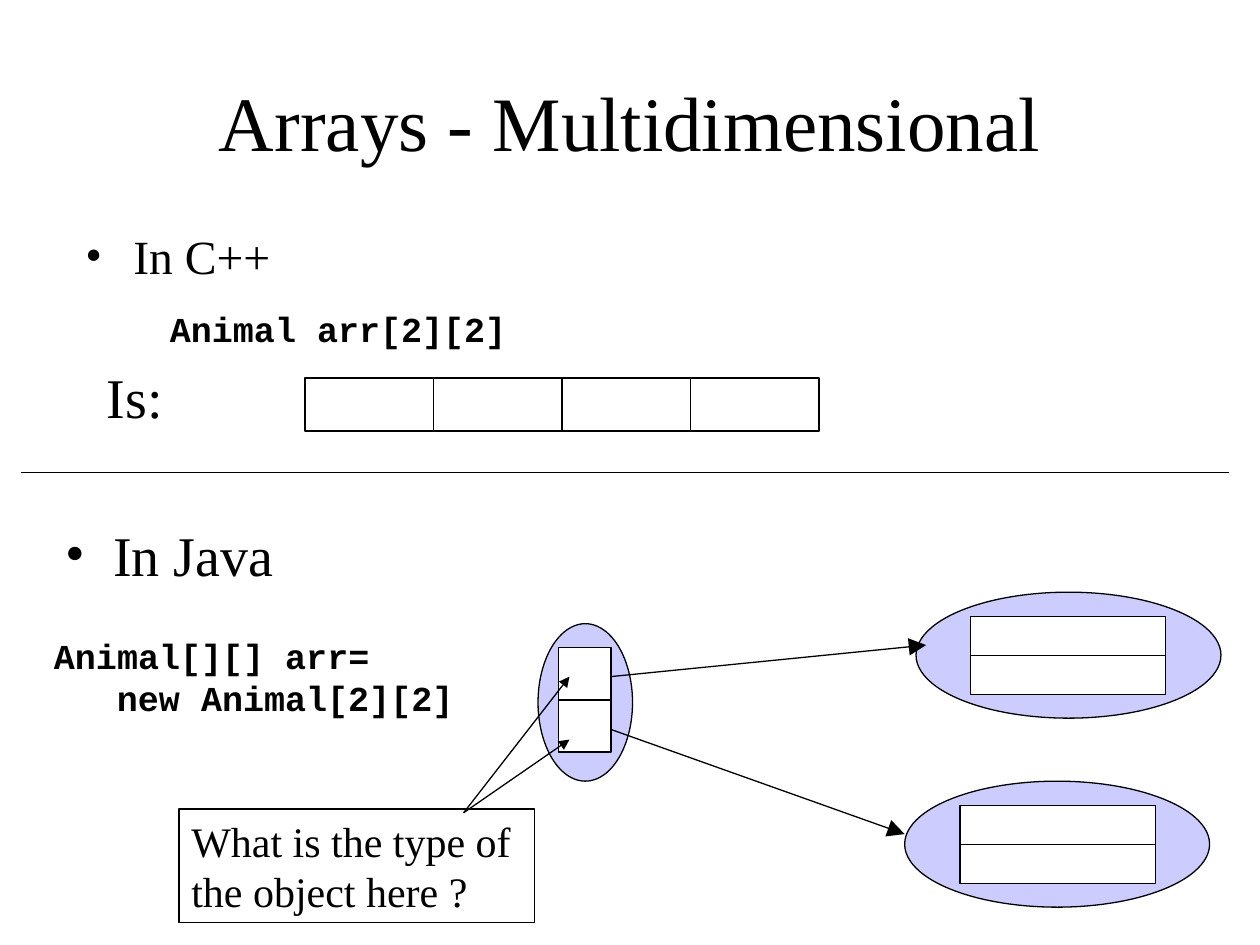
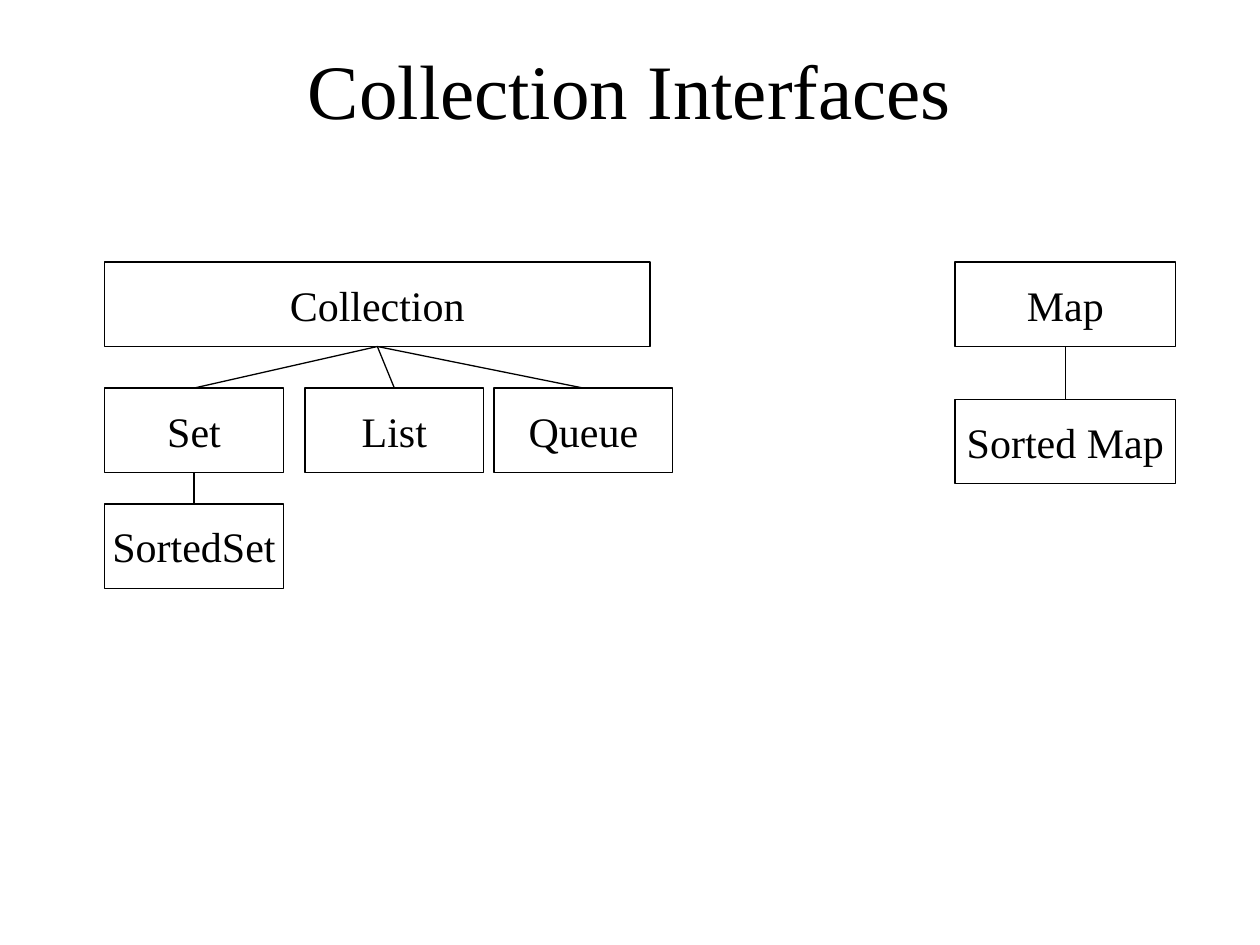
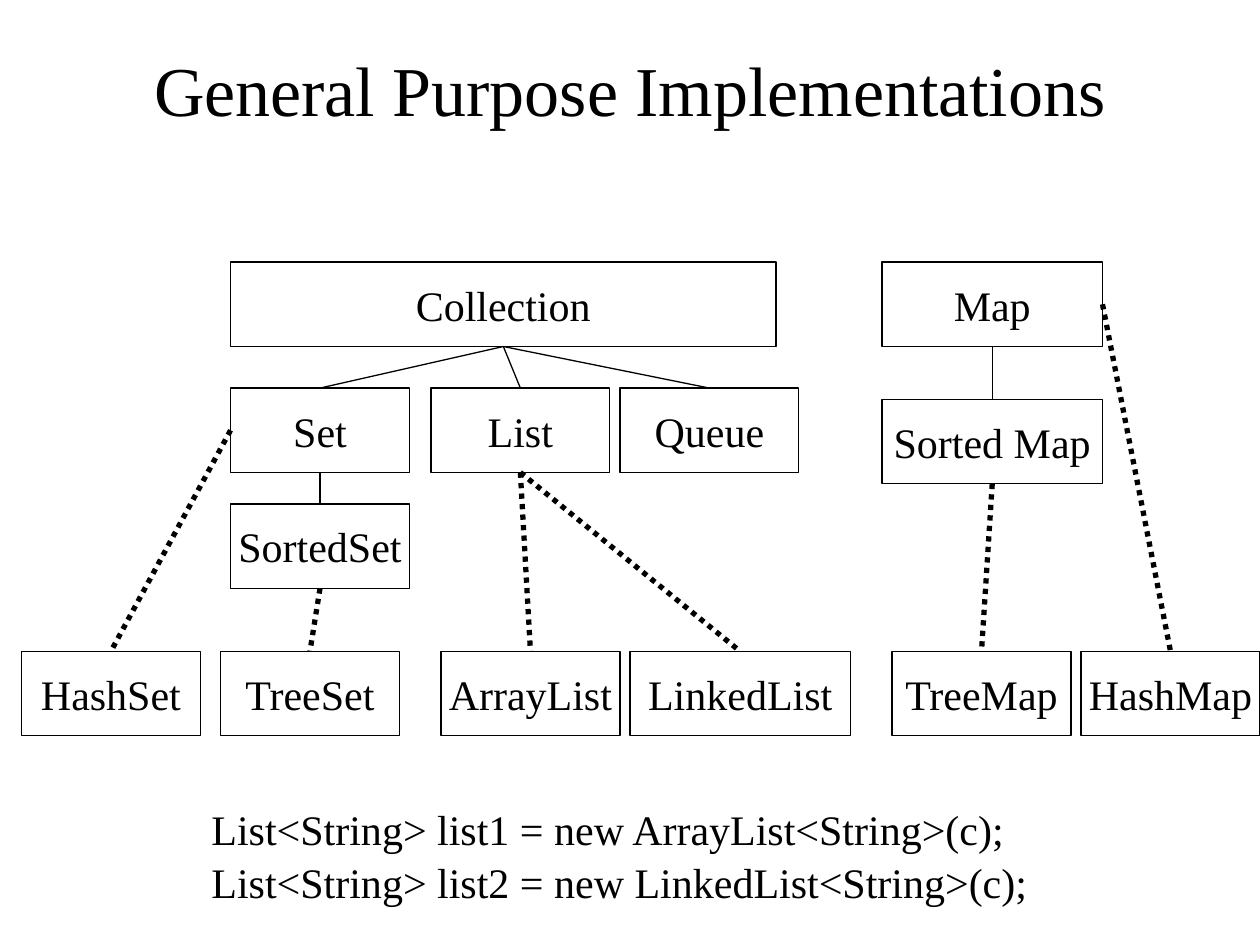
from dataclasses import dataclass

from lxml.etree import SubElement
from pptx import Presentation
from pptx.dml.color import RGBColor
from pptx.enum.dml import MSO_LINE
from pptx.enum.shapes import MSO_CONNECTOR, MSO_SHAPE
from pptx.enum.text import MSO_ANCHOR, PP_ALIGN
from pptx.oxml.ns import qn
from pptx.util import Inches, Pt


@dataclass(frozen=True)
class Theme:
    ink: RGBColor = RGBColor(0, 0, 0)
    paper: RGBColor = RGBColor(255, 255, 255)
    lilac: RGBColor = RGBColor(0xCC, 0xCC, 0xFF)
    serif: str = "Times New Roman"
    mono: str = "Courier New"
    title: float = 44
    small: float = 40
    head: float = 32
    lead: float = 27.2
    body: float = 24
    code: float = 20
    thin: float = 0.75
    thick: float = 3


T = Theme()
TOP, LEFT, BOTTOM, RIGHT = range(4)

# Array slide: ellipses, then strips as (box, columns, rows, fill)
OVALS = [(4.27, 4.95, 0.75, 1.25), (7.18, 6.2, 2.42, 1), (7.27, 4.7, 2.42, 1)]
STRIPS = [
    ((2.42, 3, 4.08, 0.42), 4, 1, None),
    ((4.43, 5.14, 0.42, 0.83), 1, 2, T.paper),
    ((7.7, 4.89, 1.55, 0.62), 1, 2, T.paper),
    ((7.62, 6.39, 1.55, 0.62), 1, 2, T.paper),
]
# Arrows as (start, end, head size)
ARROWS = [
    ((4.85, 5.37), (7.35, 5.12), "lg"),
    ((4.85, 5.79), (7.18, 6.62), "lg"),
    ((3.68, 6.45), (4.52, 5.87), "med"),
    ((3.68, 6.45), (4.52, 5.37), "med"),
]
BULLETS = [
    ("In C++", (0.58, 1.75, 8.5, 0.58), T.lead),
    ("In Java", (0.42, 4.08, 8.5, 0.58), T.head),
]
ASK = "What is the type of\nthe object here ?"

# Type trees: (name, offset from the tree's left edge, top, width)
HIGH, WIDE, SLIM = 0.67, 1.75, 1.42
SETS = [
    ("Collection", 0, 2.08, 4.33),
    ("Set", 0, 3.08, SLIM),
    ("List", 1.59, 3.08, SLIM),
    ("Queue", 3.09, 3.08, SLIM),
    ("SortedSet", 0, 4, SLIM),
]
MAPS = [("Map", 0, 2.08, WIDE), ("Sorted Map", 0, 3.17, WIDE)]
LINKS = [
    ("Collection", "Set"),
    ("Collection", "List"),
    ("Collection", "Queue"),
    ("Set", "SortedSet"),
    ("Map", "Sorted Map"),
]

# Classes: (name, left, width), and the interface side each one hangs from
KINDS = [
    ("HashSet", 0.17, SLIM),
    ("TreeSet", 1.75, SLIM),
    ("ArrayList", 3.5, SLIM),
    ("LinkedList", 5, WIDE),
    ("TreeMap", 7.08, SLIM),
    ("HashMap", 8.58, SLIM),
]
DOTS = [
    ("Set", LEFT, "HashSet"),
    ("SortedSet", BOTTOM, "TreeSet"),
    ("List", BOTTOM, "ArrayList"),
    ("List", BOTTOM, "LinkedList"),
    ("Sorted Map", BOTTOM, "TreeMap"),
    ("Map", RIGHT, "HashMap"),
]
CODE = [
    ("List<String> list1 = new ArrayList<String>(c);", 6.33),
    ("List<String> list2 = new LinkedList<String>(c);", 6.75),
]


# Shared helpers
def place(box):
    return [Inches(v) for v in box]


def write(shape, text, size, font=T.serif, bold=False, wrap=False,
          align=PP_ALIGN.LEFT, anchor=MSO_ANCHOR.TOP):
    frame = shape.text_frame
    frame.text = text
    frame.word_wrap = wrap
    frame.vertical_anchor = anchor
    for para in frame.paragraphs:
        para.alignment = align
        for run in para.runs:
            run.font.name = font
            run.font.size = Pt(size)
            run.font.bold = bold
            run.font.color.rgb = T.ink
    return frame


def label(slide, text, box, size, **style):
    return write(slide.shapes.add_textbox(*place(box)), text, size, **style)


def title(slide, text, top, size=T.title):
    label(slide, text, (0.75, top, 8.5, 1.25), size, wrap=True,
          align=PP_ALIGN.CENTER, anchor=MSO_ANCHOR.MIDDLE)


def bullet(slide, text, box, size):
    para = label(slide, text, box, size, wrap=True).paragraphs[0]
    para.space_before = Pt(8)
    props = para._p.get_or_add_pPr()
    props.set("marL", str(Inches(0.38)))
    props.set("indent", str(Inches(-0.38)))
    SubElement(props, qn("a:buFont")).set("typeface", T.serif)
    SubElement(props, qn("a:buChar")).set("char", "•")


def draw(slide, box, fill=None, kind=MSO_SHAPE.RECTANGLE):
    shape = slide.shapes.add_shape(kind, *place(box))
    shape.shadow.inherit = False
    if fill is None:
        shape.fill.background()
    else:
        shape.fill.solid()
        shape.fill.fore_color.rgb = fill
    shape.line.color.rgb = T.ink
    shape.line.width = Pt(T.thin)
    return shape


def rule(slide, start=(0, 0), end=(0, 0), head=None, width=T.thin):
    line = slide.shapes.add_connector(
        MSO_CONNECTOR.STRAIGHT, *place(start), *place(end))
    line.line.color.rgb = T.ink
    line.line.width = Pt(width)
    props = line._element.spPr
    if head:
        tail = SubElement(props.find(qn("a:ln")), qn("a:tailEnd"))
        for key, value in (("type", "triangle"), ("w", head), ("len", head)):
            tail.set(key, value)
    SubElement(props, qn("a:effectLst"))
    return line


def join(slide, upper, side, lower, width=T.thin):
    line = rule(slide, width=width)
    line.begin_connect(upper, side)
    line.end_connect(lower, TOP)
    return line


def strip(slide, box, cols, rows, fill):
    x, y, w, h = box
    draw(slide, box, fill)
    for i in range(1, cols):
        at = x + w * i / cols
        rule(slide, (at, y), (at, y + h))
    for i in range(1, rows):
        at = y + h * i / rows
        rule(slide, (x, at), (x + w, at))


def node(slide, name, x, y, w):
    shape = draw(slide, (x, y, w, HIGH))
    write(shape, name, T.body, align=PP_ALIGN.CENTER, anchor=MSO_ANCHOR.MIDDLE)
    return shape


def tree(slide, left, right):
    nodes = {}
    for base, items in ((left, SETS), (right, MAPS)):
        for name, x, y, w in items:
            nodes[name] = node(slide, name, base + x, y, w)
    for upper, lower in LINKS:
        join(slide, nodes[upper], BOTTOM, nodes[lower])
    return nodes


# Slides
def arrays(slide):
    for box in OVALS:
        draw(slide, box, T.lilac, MSO_SHAPE.OVAL)
    title(slide, "Arrays - Multidimensional", 0.33)
    for item in BULLETS:
        bullet(slide, *item)
    label(slide, "Animal arr[2][2]", (1.25, 2.39, 2.95, 0.44), T.code,
          font=T.mono, bold=True)
    label(slide, "Is:", (0.75, 2.83, 0.75, 0.64), T.head)
    for item in STRIPS:
        strip(slide, *item)
    write(draw(slide, (1.42, 6.42, 2.82, 0.9)), ASK, T.body)
    for item in ARROWS:
        rule(slide, *item)
    java = label(slide, "Animal[][] arr=\nnew Animal[2][2]",
                 (0.33, 4.99, 3.45, 0.77), T.code, font=T.mono, bold=True)
    java.paragraphs[1]._p.get_or_add_pPr().set("marL", str(Inches(0.5)))
    rule(slide, (0.17, 3.75), (9.75, 3.75))


def faces(slide):
    title(slide, "Collection Interfaces", 0.08)
    tree(slide, 0.83, 7.58)


def classes(slide):
    title(slide, "General Purpose Implementations", 0.08, T.small)
    nodes = tree(slide, 1.83, 7)
    for name, x, w in KINDS:
        nodes[name] = node(slide, name, x, 5.17, w)
    for upper, side, lower in DOTS:
        line = join(slide, nodes[upper], side, nodes[lower], T.thick)
        line.line.dash_style = MSO_LINE.ROUND_DOT
    for text, y in CODE:
        label(slide, text, (1.58, y, 6.8, 0.5), T.body)


def main():
    deck = Presentation()
    deck.slide_width, deck.slide_height = Inches(10), Inches(7.5)
    for build in (arrays, faces, classes):
        build(deck.slides.add_slide(deck.slide_layouts[6]))
    deck.save("out.pptx")


if __name__ == "__main__":
    main()
